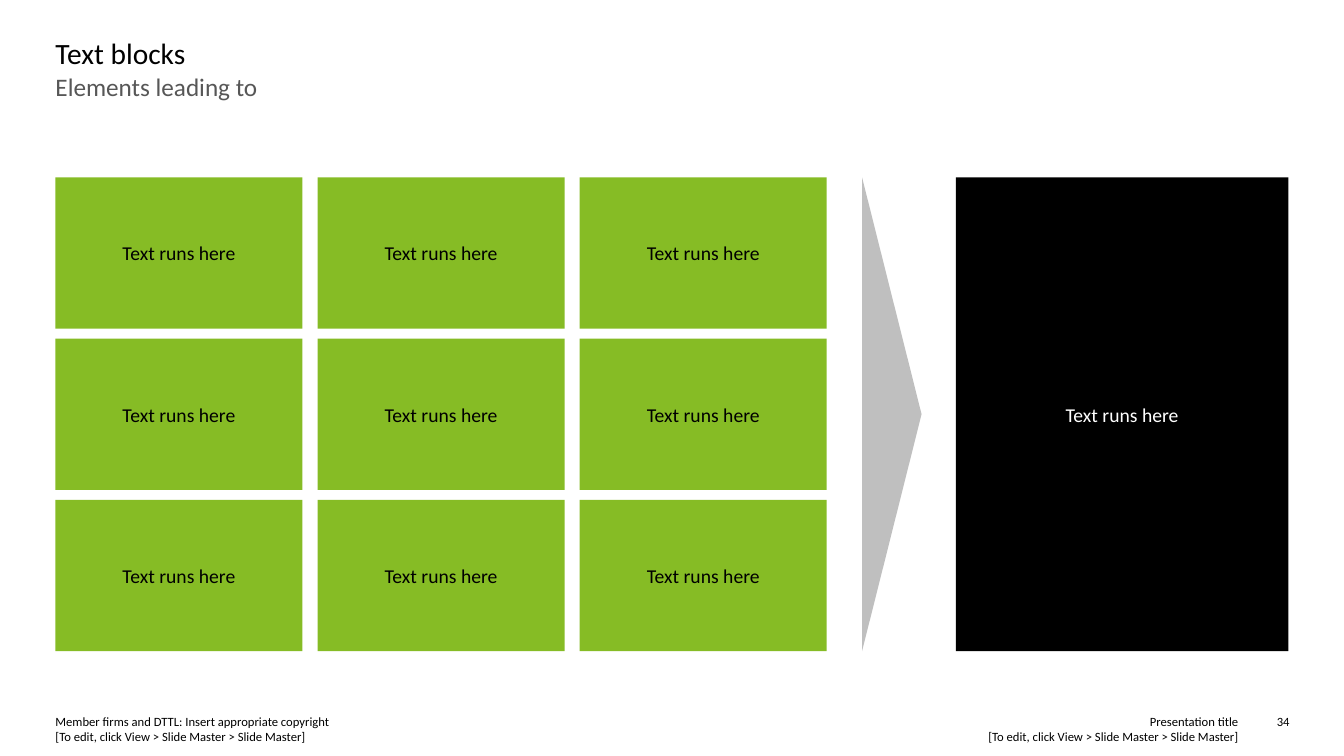
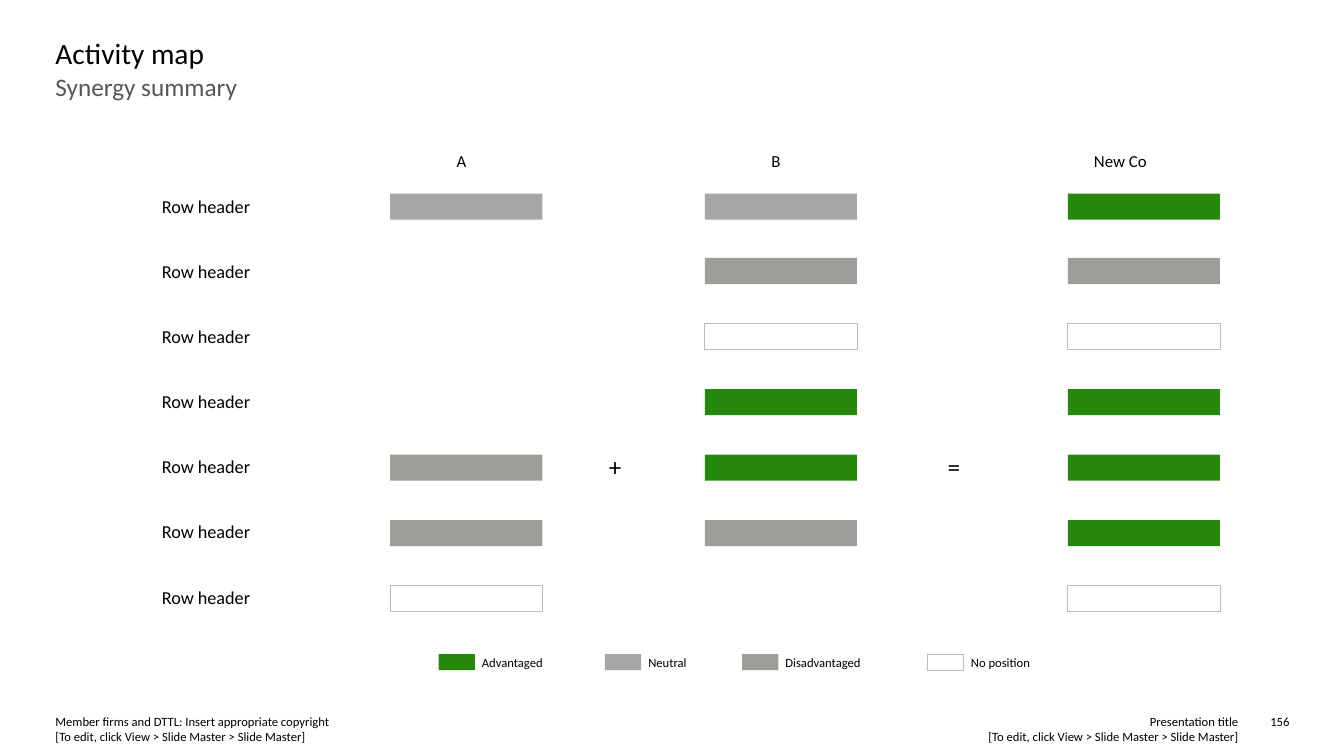
"""Build two slides: text blocks leading to a result, and an activity map."""
from lxml import etree
from pptx import Presentation
from pptx import util as u
from pptx.dml.color import RGBColor
from pptx.enum import shapes, text
from pptx.oxml.ns import qn

PX = 9144
FONT = "Calibri"
BLACK = RGBColor(0x00, 0x00, 0x00)
WHITE = RGBColor(0xFF, 0xFF, 0xFF)
SUBTITLE_GREY = RGBColor(0x57, 0x57, 0x57)
LIME = RGBColor(0x86, 0xBC, 0x25)
ARROW_GREY = RGBColor(0xBF, 0xBF, 0xBF)
GREEN = RGBColor(0x26, 0x89, 0x0D)
MID_GREY = RGBColor(0xA6, 0xA6, 0xA6)
WARM_GREY = RGBColor(0x9D, 0x9D, 0x99)
OUTLINE_GREY = RGBColor(0xBB, 0xBC, 0xBC)

LEFT, RIGHT, CENTER = text.PP_ALIGN.LEFT, text.PP_ALIGN.RIGHT, text.PP_ALIGN.CENTER
TOP, MIDDLE = text.MSO_ANCHOR.TOP, text.MSO_ANCHOR.MIDDLE
RECT, ARROW = shapes.MSO_SHAPE.RECTANGLE, shapes.MSO_SHAPE.PENTAGON

EDIT_HINT = "[To edit, click View > Slide Master > Slide Master]"
FOOTERS = [
    ("Member firms and DTTL: Insert appropriate copyright\v" + EDIT_HINT, (55, 708, 586, 30), LEFT),
    ("Presentation title\v" + EDIT_HINT, (693, 708, 535, 30), RIGHT),
]
NUMBER_BOX = (1245, 708, 34, 15)
TITLE_BOX = (55, 35, 1224, 37)
SUBTITLE_BOX = (55, 71, 1224, 83)

BLOCKS = [["Text runs here"] * 3 for _ in range(3)]
RESULT = "Text runs here"
BLOCK_LEFT, BLOCK_TOP, BLOCK_WIDTH, BLOCK_HEIGHT = 55, 176, 245, 150
COLUMN_GAP, ROW_GAP = 15, 10
ARROW_BOX = (855, 176, 59, 470)
RESULT_BOX = (948, 176, 330, 470)

POSITIONS = {
    "Advantaged": (GREEN, 435),
    "Neutral": (MID_GREY, 600),
    "Disadvantaged": (WARM_GREY, 736),
    "No position": (WHITE, 920),
}
COMPANIES = [("A", 453, 387), ("B", 765, 699), ("New Co", 1085, 1059)]
ACTIVITIES = [
    ("Row header", ("Neutral", "Neutral", "Advantaged")),
    ("Row header", (None, "Disadvantaged", "Disadvantaged")),
    ("Row header", (None, "No position", "No position")),
    ("Row header", (None, "Advantaged", "Advantaged")),
    ("Row header", ("Disadvantaged", "Advantaged", "Advantaged")),
    ("Row header", ("Disadvantaged", "Disadvantaged", "Advantaged")),
    ("Row header", ("No position", None, "No position")),
]
OPERATORS = [("+", 604), ("=", 940)]
FIRST_BAR, LAST_BAR = 192, 581
FIRST_HEADER, LAST_HEADER = 194, 581
BAR_WIDTH, BAR_HEIGHT = 151, 26


def emu(lengths):
    return [length * PX for length in lengths]


def spread(first, last, count):
    return [first + (last - first) * step // (count - 1) for step in range(count)]


def write(shape, words, size, color=BLACK, align=LEFT, anchor=TOP, inset=0):
    frame = shape.text_frame
    frame.text = words
    frame.word_wrap = True
    frame.auto_size = text.MSO_AUTO_SIZE.NONE
    frame.vertical_anchor = anchor
    frame.margin_left = frame.margin_right = inset * PX
    frame.margin_top = frame.margin_bottom = inset * PX
    para = frame.paragraphs[0]
    para.alignment = align
    para.space_before = u.Pt(0)
    for span in para.runs:
        span.font.name = FONT
        span.font.size = u.Pt(size)
        span.font.color.rgb = color


def add_label(page, box, words, size, **style):
    write(page.shapes.add_textbox(*emu(box)), words, size, **style)


def add_block(page, box, fill, kind=RECT, words=None, color=BLACK):
    block = page.shapes.add_shape(kind, *emu(box))
    block.shadow.inherit = False
    block.fill.solid()
    block.fill.fore_color.rgb = fill
    block.line.fill.background()
    if words:
        write(block, words, 14, color, CENTER, MIDDLE, 10)
    return block


def add_bar(page, box, position):
    fill, _ = POSITIONS[position]
    bar = add_block(page, box, fill)
    if fill == WHITE:
        bar.line.color.rgb = OUTLINE_GREY
        bar.line.width = u.Pt(0.5)


def fill_placeholder(holder, box, words, size, color):
    holder.left, holder.top, holder.width, holder.height = emu(box)
    write(holder, words, size, color)


def add_page(deck, title, subtitle, number):
    page = deck.slides.add_slide(deck.slide_layouts[1])
    body = page.placeholders[1]
    fill_placeholder(page.shapes.title, TITLE_BOX, title, 21, BLACK)
    fill_placeholder(body, SUBTITLE_BOX, subtitle, 18, SUBTITLE_GREY)
    props = body.text_frame.paragraphs[0]._p.get_or_add_pPr()
    props.set("marL", "0")
    props.set("indent", "0")
    etree.SubElement(props, qn("a:buNone"))
    for words, box, align in FOOTERS + [(number, NUMBER_BOX, RIGHT)]:
        add_label(page, box, words, 9, align=align)
    return page


def draw_blocks(page):
    for row, words_in_row in enumerate(BLOCKS):
        for column, words in enumerate(words_in_row):
            left = BLOCK_LEFT + column * (BLOCK_WIDTH + COLUMN_GAP)
            top = BLOCK_TOP + row * (BLOCK_HEIGHT + ROW_GAP)
            add_block(page, (left, top, BLOCK_WIDTH, BLOCK_HEIGHT), LIME, words=words)
    arrow = add_block(page, ARROW_BOX, ARROW_GREY, ARROW)
    arrow.adjustments[0] = 1
    add_block(page, RESULT_BOX, BLACK, words=RESULT, color=WHITE)


def draw_activity_map(page):
    for name, label_left, _ in COMPANIES:
        add_label(page, (label_left, 150, 98, 22), name, 12)
    bar_tops = spread(FIRST_BAR, LAST_BAR, len(ACTIVITIES))
    header_tops = spread(FIRST_HEADER, LAST_HEADER, len(ACTIVITIES))
    for (header, positions), bar_top, header_top in zip(ACTIVITIES, bar_tops, header_tops):
        add_label(page, (77, header_top, 171, 22), header, 13, align=RIGHT, anchor=MIDDLE)
        for (_, _, left), position in zip(COMPANIES, positions):
            if position:
                add_bar(page, (left, bar_top, BAR_WIDTH, BAR_HEIGHT), position)
    for sign, left in OPERATORS:
        add_label(page, (left, 448, 24, 33), sign, 18)
    for position, (_, left) in POSITIONS.items():
        add_bar(page, (left, 649, 36, 16), position)
        add_label(page, (left + 43, 650, 100, 15), position, 9, anchor=MIDDLE)


def main():
    deck = Presentation()
    deck.slide_width, deck.slide_height = emu((1333, 750))
    draw_blocks(add_page(deck, "Text blocks", "Elements leading to", "34"))
    draw_activity_map(add_page(deck, "Activity map", "Synergy summary", "156"))
    deck.save("out.pptx")


if __name__ == "__main__":
    main()
